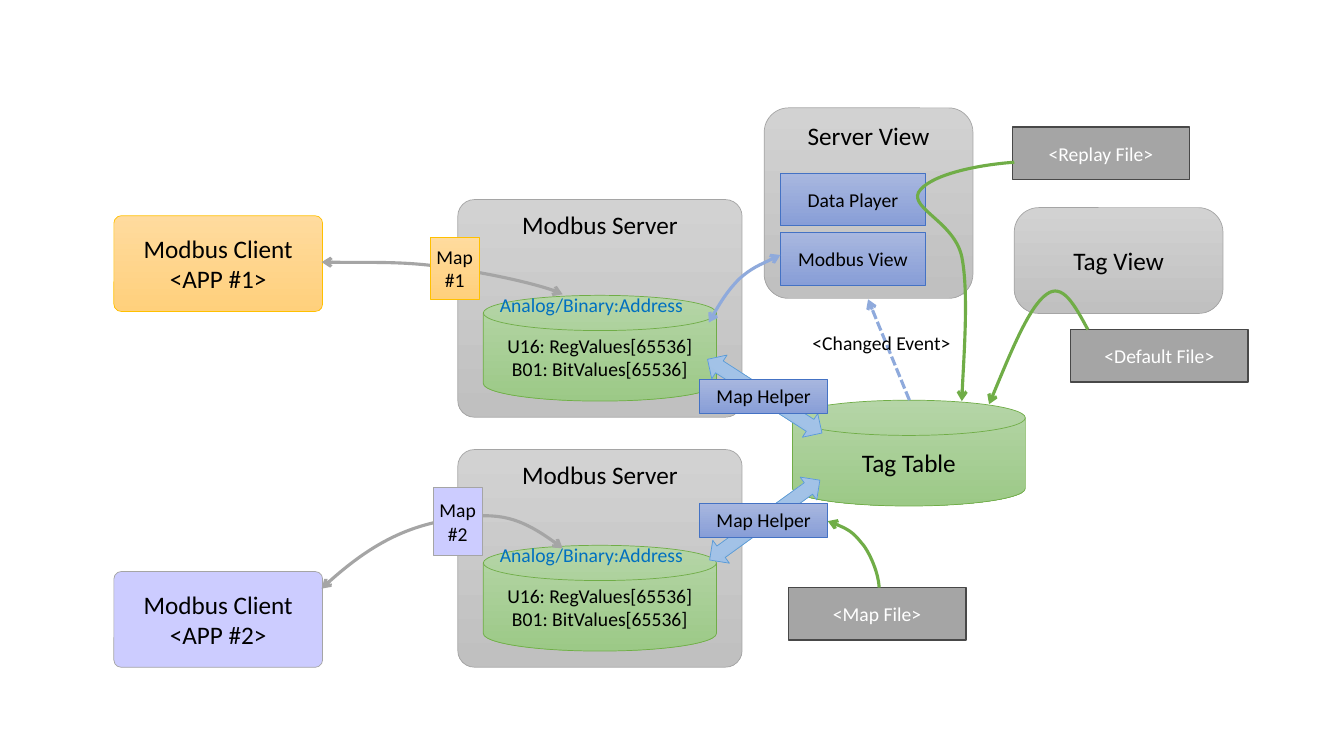
from collections import namedtuple

from lxml import etree
from pptx import Presentation
from pptx.dml.color import RGBColor
from pptx.enum.dml import MSO_LINE
from pptx.enum.shapes import MSO_CONNECTOR, MSO_SHAPE
from pptx.enum.text import MSO_ANCHOR, PP_ALIGN
from pptx.oxml.ns import qn
from pptx.util import Inches, Pt

RECT = MSO_SHAPE.RECTANGLE
ROUNDED = MSO_SHAPE.ROUNDED_RECTANGLE
DISK = MSO_SHAPE.FLOWCHART_MAGNETIC_DISK
DOUBLE_ARROW = MSO_SHAPE.LEFT_RIGHT_ARROW
STRAIGHT = MSO_CONNECTOR.STRAIGHT
SHORT_DASH = MSO_LINE.SQUARE_DOT
TOP, MIDDLE = MSO_ANCHOR.TOP, MSO_ANCHOR.MIDDLE
CENTER, LEFT = PP_ALIGN.CENTER, PP_ALIGN.LEFT

CELL = Inches(0.1)  # the slide is a grid of square cells
FONT = "Calibri"
LARGE, SMALL = 18, 14
COLORS = {
    "black": "000000", "white": "FFFFFF", "address": "0070C0",
    "grey": "A5A5A5", "green": "70AD47", "link": "8FAADC",
}
# Style: fill from top to bottom, line colour
STYLES = {
    "panel": ("D2D2D2", "C0C0C0", "A5A5A5"),
    "store": ("B5D5A7", "9CC987", "70AD47"),
    "orange": ("FFDB9E", "FFD07C", "FFC000"),
    "lilac": ("CCCCFF", "CCCCFF", "A5A5A5"),
    "tool": ("A8B7DF", "889ED7", "4472C4"),
    "flow": ("B1CBE9", "93B9E4", "5B9BD5"),
    "file": ("A5A5A5", "A5A5A5", "484848"),
}
Box = namedtuple("Box", "left top width height")


def rgb(name):
    return RGBColor.from_string(COLORS.get(name, name))


def share(box, left, top, width, height):
    """Part of a box, given as shares of its size."""
    return Box(box.left + left * box.width, box.top + top * box.height,
               width * box.width, height * box.height)


def emu(values):
    return [round(value * CELL) for value in values]


def write(shape, lines, size, color="black", align=CENTER, anchor=MIDDLE, wrap=True):
    frame = shape.text_frame
    frame.word_wrap = wrap
    frame.vertical_anchor = anchor
    for index, line in enumerate(lines):
        para = frame.paragraphs[0] if index == 0 else frame.add_paragraph()
        para.alignment = align
        span = para.add_run()
        span.text = line
        span.font.name, span.font.size = FONT, Pt(size)
        span.font.color.rgb = rgb(color)


def block(page, kind, box, style, lines=(), size=SMALL, corner=None, weight=0.5, **text):
    shape = page.shapes.add_shape(kind, *emu(box))
    shape.shadow.inherit = False
    first, last, line = STYLES[style]
    if first == last:
        shape.fill.solid()
        shape.fill.fore_color.rgb = rgb(first)
    else:
        shape.fill.gradient()
        shape.fill.gradient_angle = 270
        for stop, color in zip(shape.fill.gradient_stops, (first, last)):
            stop.color.rgb = rgb(color)
    shape.line.color.rgb = rgb(line)
    shape.line.width = Pt(weight)
    if corner is not None:
        shape.adjustments[0] = corner
    write(shape, lines, size, **text)
    return shape


def label(page, box, text, color="black"):
    write(page.shapes.add_textbox(*emu(box)), [text], SMALL, color,
          align=LEFT, anchor=TOP, wrap=False)


def stroke(shape, color, ends, dash=None):
    shape.line.color.rgb = rgb(color)
    shape.line.width = Pt(2.25)
    if dash is not None:
        shape.line.dash_style = dash
    for end in ends:
        etree.SubElement(shape.line._get_or_add_ln(), qn(f"a:{end}"), type="arrow")


def curve(page, box, points, color, ends=("tailEnd",)):
    """Smooth arrow; points are cells counted from the corner of the box."""
    start, *rest = [emu((box.left + x, box.top + y)) for x, y in points]
    builder = page.shapes.build_freeform(*start)
    builder.add_line_segments(rest, close=False)
    shape = builder.convert_to_shape()
    shape.shadow.inherit = False
    shape.fill.background()
    stroke(shape, color, ends)
    # Every three points after the start make one cubic segment
    outline = next(shape._element.iter(qn("a:path")))
    steps = outline.findall(qn("a:lnTo"))
    for index in range(0, len(steps), 3):
        bend = etree.SubElement(outline, qn("a:cubicBezTo"))
        for step in steps[index:index + 3]:
            bend.append(step[0])
            outline.remove(step)


def server(page, box):
    block(page, ROUNDED, box, "panel", ["Modbus Server"], LARGE, 0.077, anchor=TOP)
    block(page, DISK, share(box, 0.09, 0.44, 0.82, 0.486), "store",
          ["U16: RegValues[65536]", "B01: BitValues[65536]"])
    label(page, share(box, 0.113, 0.407, 0.723, 0.157), "Analog/Binary:Address", "address")


def client(page, box, number, style, route, map_box):
    block(page, ROUNDED, box, style, ["Modbus Client", f"<APP #{number}>"], LARGE, 0.077)
    curve(page, box, route, "grey", ("headEnd", "tailEnd"))
    left, top, width, height = map_box
    block(page, RECT, Box(box.left + left, box.top + top, width, height), style,
          ["Map", f"#{number}"], wrap=False)


def helper(page, box, angle):
    arrow = block(page, DOUBLE_ARROW, Box(box.left - 0.3, box.top + 0.3, 13.5, 2.8), "flow")
    arrow.rotation = angle
    block(page, RECT, box, "tool", ["Map Helper"])


def server_view(page, box):
    block(page, ROUNDED, box, "panel", ["Server View"], LARGE, 0.128, anchor=TOP)
    for top, name in ((0.344, "Data Player"), (0.656, "Modbus View")):
        block(page, RECT, share(box, 0.077, top, 0.696, 0.275), "tool", [name])
    curve(page, box, [(-5.5, 21.3), (-4.6, 19.7), (-3.6, 18.1), (-2.5, 17),
                      (-1.3, 15.9), (0.2, 15.3), (1.6, 14.6)],
          "link", ("headEnd", "tailEnd"))


def source_file(page, box, name, route):
    block(page, RECT, box, "file", [name], weight=1, color="white")
    curve(page, box, route, "green")


def changed_event(page, box):
    ends = emu((box.left + 10.6, box.top + 7.4, box.left + 6.5, box.top - 2.6))
    arrow = page.shapes.add_connector(STRAIGHT, *ends)
    stroke(arrow, "link", ["tailEnd"], SHORT_DASH)
    etree.SubElement(arrow._element.spPr, qn("a:effectLst"))
    label(page, box, "<Changed Event>")


def main():
    deck = Presentation()
    deck.slide_width, deck.slide_height = Inches(13.33), Inches(7.5)
    page = deck.slides.add_slide(deck.slide_layouts[6])

    # Servers and the clients that reach them
    for top in (19.8, 44.6):
        server(page, Box(45.4, top, 28.2, 21.6))
    client(page, Box(11.3, 21.4, 20.7, 9.5), 1, "orange",
           [(20.6, 4.6), (24.8, 4.7), (28.7, 4.5), (32.7, 5.1),
            (36.6, 5.6), (43.1, 7), (44.5, 7.8)], (31.4, 2.1, 4.8, 6.2))
    client(page, Box(11.3, 56.7, 20.7, 9.5), 2, "lilac",
           [(20.6, 1.7), (26, -3.4), (30.1, -4.7), (34.2, -5.3),
            (38.2, -5.9), (40.6, -5.3), (44.5, -2.3)], (31.7, -8.3, 4.8, 6.7))

    # Tag table, its views and the helpers that feed it
    block(page, DISK, Box(78.6, 39.7, 23.1, 10.5), "store", ["Tag Table"], LARGE)
    block(page, ROUNDED, Box(100.6, 20.6, 20.7, 10.5), "panel", ["Tag View"], LARGE, 0.232)
    server_view(page, Box(75.8, 10.7, 20.7, 18.9))
    for top, angle in ((37.6, 32.8), (49.9, 324.1)):
        helper(page, Box(69.4, top, 12.7, 3.4), angle)

    # Files
    source_file(page, Box(78.2, 58.3, 17.6, 5.2), "<Map File>",
                [(9, 0), (8.9, -1.8), (7.8, -3.9), (7.2, -4.5),
                 (6.4, -5.5), (5.6, -6), (3.9, -6.6)])
    source_file(page, Box(106.2, 32.7, 17.6, 5.2), "<Default File>",
                [(1.7, 0), (0.4, -2.4), (-0.8, -4.7), (-2.4, -3.5),
                 (-4.1, -2.3), (-6.1, 2.6), (-8.1, 7.4)])
    source_file(page, Box(100.4, 12.6, 17.6, 5.2), "<Replay File>",
                [(0.2, 3.5), (-4, 3.8), (-8.4, 4.9), (-9.3, 6.5), (-10.1, 8.1),
                 (-5.7, 9.5), (-5, 12.9), (-4.3, 16.4), (-4.9, 24.1), (-5, 27.2)])
    changed_event(page, Box(79.6, 32.3, 15.9, 3.4))

    deck.save("out.pptx")


if __name__ == "__main__":
    main()
